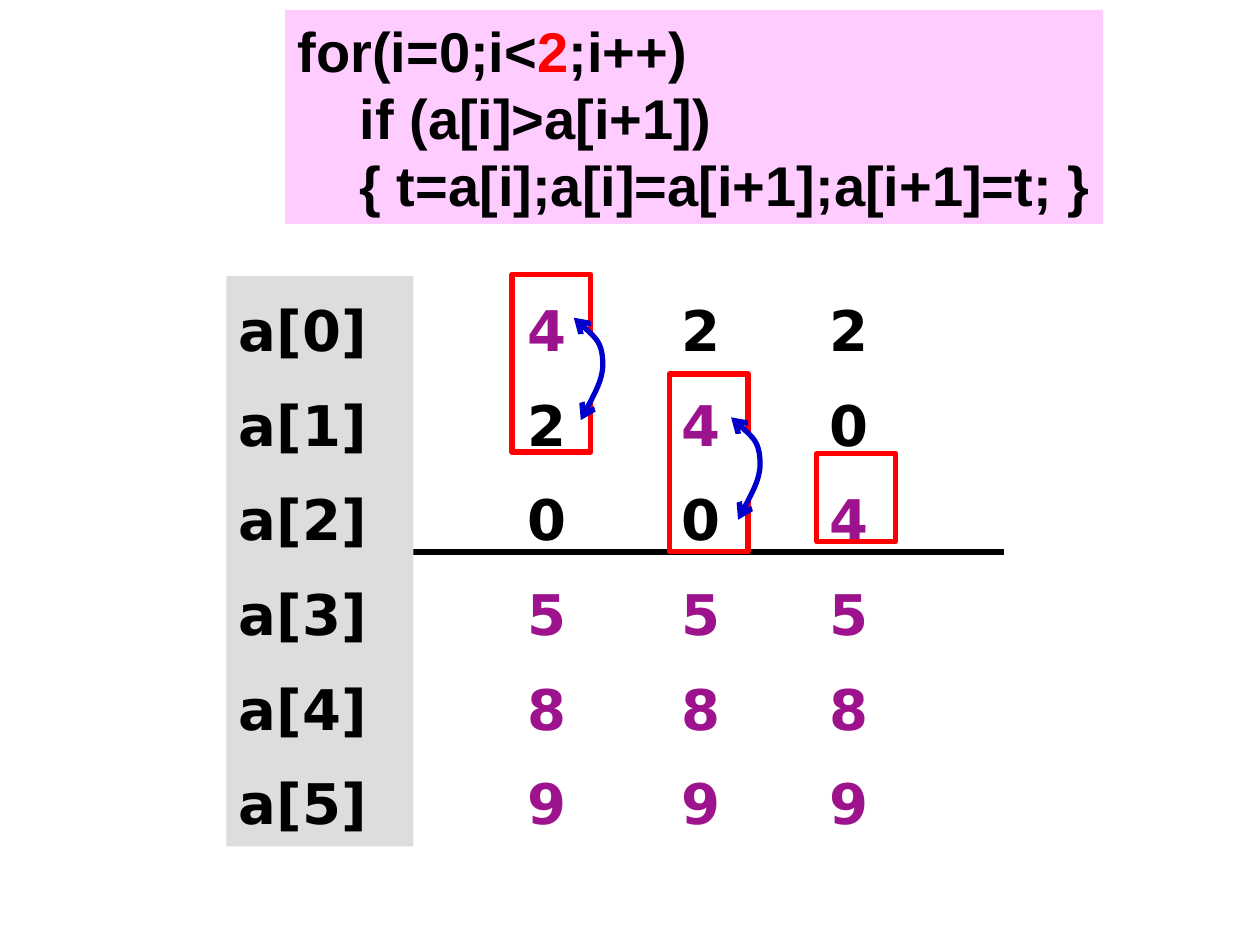
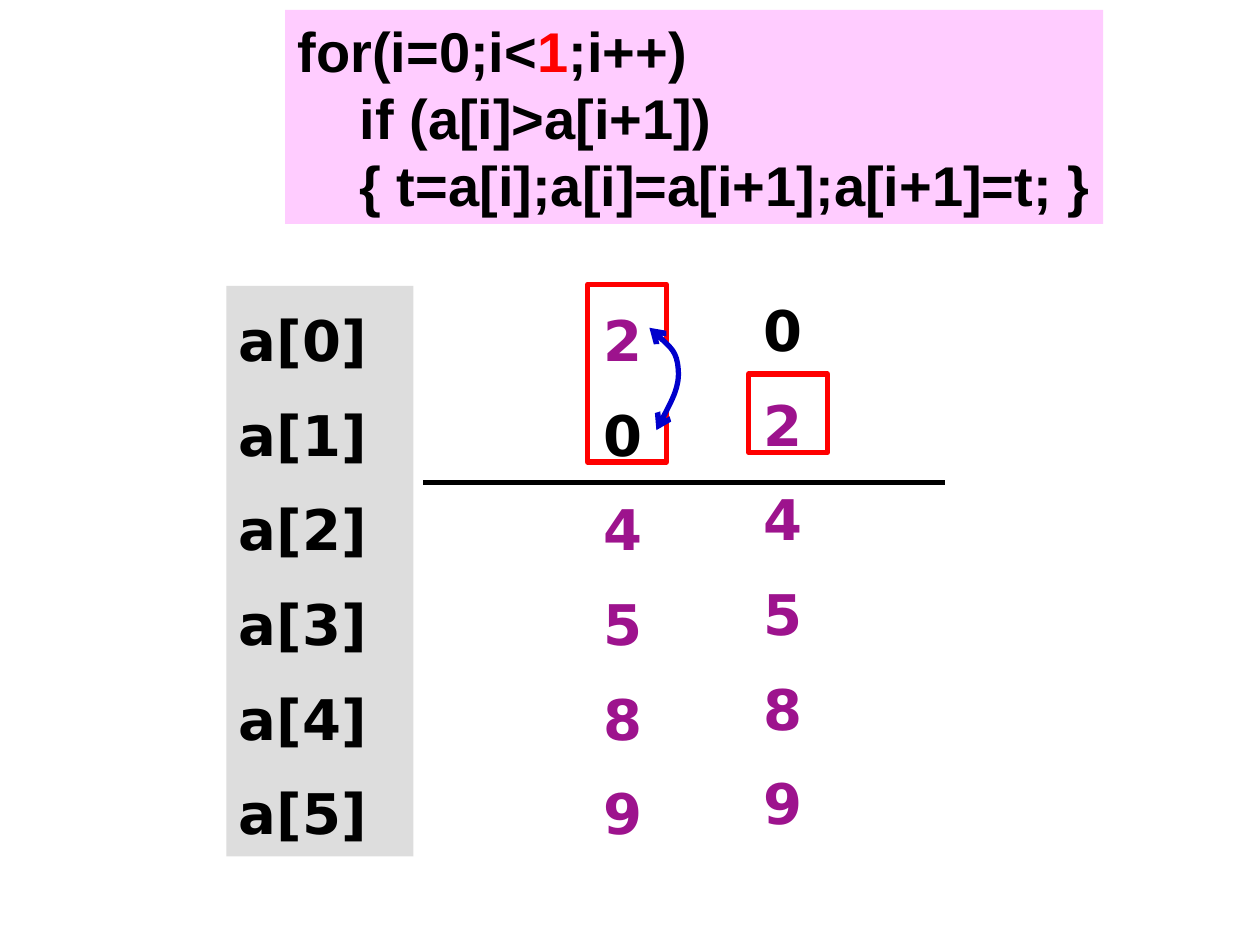
from lxml import etree
from pptx import Presentation
from pptx import util as u
from pptx.dml import color
from pptx.enum import shapes, text
from pptx.oxml import ns

Pt = u.Pt
BLACK, WHITE, RED, BLUE = "000000", "FFFFFF", "FF0000", "0000CC"
PURPLE, GREY, PINK = "9D138D", "DDDDDD", "FFCCFF"
LINE_WIDTH = 3
CODE_FONT = {"name": "Arial", "size": Pt(32), "bold": True}
VALUE_FONT = {"name": "DejaVu Sans", "size": Pt(32), "bold": True}
ROW_FORMAT = {"line_spacing": 1.2, "space_before": Pt(8), "alignment": text.PP_ALIGN.LEFT}
FRAME_FORMAT = {
    "margin_left": Pt(7.2), "margin_right": Pt(7.2),
    "margin_top": Pt(3.6), "margin_bottom": Pt(3.6),
    "vertical_anchor": text.MSO_ANCHOR.TOP, "word_wrap": True,
}

CODE_BOX = (163, 5.7, 467.5, 122.2)
CODE_INDENT = 35.5
LABELS = [f"a[{index}]" for index in range(6)]
LABEL_LEFT, LABEL_WIDTH = 129.4, 106.8
COLUMN_WIDTH, LIST_HEIGHT = 56, 326
FRAME_WIDTH, PAIR_HEIGHT = 45, 101.5
# Start, then two Bezier curves of three points each, relative to the pair frame
SWAP_CURVE = [(39.3, 83.3), (46.1, 70.6), (52.6, 58.3), (51.8, 48.6),
              (51.1, 38.5), (43.2, 31.7), (35.3, 24.8)]

# A frame is (x offset, y offset, height) from its column; "bubble" is the moving value's row
SLIDES = [
    {
        "limit": "2", "settled_from": 3, "label_top": 157.7,
        "divider": (236.2, 573.8, 315.4),
        "columns": [
            {"at": (294.6, 157.7), "values": "420589", "bubble": 0,
             "frame": (-2, -0.9, PAIR_HEIGHT), "swap": True},
            {"at": (382.5, 157.7), "values": "240589", "bubble": 1,
             "frame": (0, 56, PAIR_HEIGHT), "swap": True},
            {"at": (466.8, 157.7), "values": "204589", "bubble": 2,
             "frame": (0, 101.5, 50.4), "swap": False},
        ],
    },
    {
        "limit": "1", "settled_from": 2, "label_top": 163.4,
        "divider": (242, 540, 275.8),
        "columns": [
            {"at": (337.8, 163.4), "values": "204589", "bubble": 0,
             "frame": (-2, -0.9, PAIR_HEIGHT), "swap": True},
            {"at": (429.2, 157.7), "values": "024589", "bubble": 1,
             "frame": (-1.4, 56, 44.8), "swap": False},
        ],
    },
]


def rgb(value):
    return color.RGBColor.from_string(value)


def apply(target, values):
    for name, value in values.items():
        setattr(target, name, value)


def fill_with(shape, value):
    shape.fill.solid()
    shape.fill.fore_color.rgb = rgb(value)


def draw_line(line, value):
    line.color.rgb = rgb(value)
    line.width = Pt(LINE_WIDTH)


def indent(paragraph, left, first=0):
    properties = paragraph._p.get_or_add_pPr()
    properties.set("marL", str(Pt(left)))
    properties.set("indent", str(Pt(first)))


def add_run(paragraph, words, font, value):
    run = paragraph.add_run()
    run.text = words
    apply(run.font, font)
    run.font.color.rgb = rgb(value)


def next_paragraph(frame, index):
    return frame.add_paragraph() if index else frame.paragraphs[0]


def add_panel(slide, box, fill):
    panel = slide.shapes.add_shape(shapes.MSO_SHAPE.RECTANGLE, *map(Pt, box))
    panel.shadow.inherit = False
    panel.line.fill.background()
    fill_with(panel, fill)
    return panel


def fill_rows(shape, words, colours):
    """Write one word per evenly spaced row of a list."""
    frame = shape.text_frame
    apply(frame, FRAME_FORMAT)
    for index, (word, value) in enumerate(zip(words, colours)):
        paragraph = next_paragraph(frame, index)
        apply(paragraph, ROW_FORMAT)
        indent(paragraph, 27, -27)
        add_run(paragraph, word, VALUE_FONT, value)


def add_code(slide, box, limit):
    frame = add_panel(slide, box, PINK).text_frame
    apply(frame, {**FRAME_FORMAT, "word_wrap": False,
                  "auto_size": text.MSO_AUTO_SIZE.SHAPE_TO_FIT_TEXT})
    lines = [
        (0, [("for(i=0;i<", BLACK), (limit, RED), (";i++)", BLACK)]),
        (CODE_INDENT, [("if (a[i]>a[i+1])", BLACK)]),
        (CODE_INDENT, [("{ t=a[i];a[i]=a[i+1];a[i+1]=t; }", BLACK)]),
    ]
    for index, (left, runs) in enumerate(lines):
        paragraph = next_paragraph(frame, index)
        paragraph.alignment = text.PP_ALIGN.LEFT
        indent(paragraph, left)
        for words, value in runs:
            add_run(paragraph, words, CODE_FONT, value)


def add_divider(slide, left, right, top):
    divider = slide.shapes.add_connector(
        shapes.MSO_CONNECTOR.STRAIGHT, Pt(left), Pt(top), Pt(right), Pt(top))
    draw_line(divider.line, BLACK)
    etree.SubElement(divider.element.spPr, ns.qn("a:effectLst"))


def add_swap_arrow(slide, left, top):
    """Draw the double-headed curve beside a pair of values."""
    start, *points = [(Pt(left + x), Pt(top + y)) for x, y in SWAP_CURVE]
    builder = slide.shapes.build_freeform(*start)
    builder.add_line_segments(points, close=False)
    arrow = builder.convert_to_shape()
    arrow.shadow.inherit = False
    fill_with(arrow, WHITE)
    draw_line(arrow.line, BLUE)

    outline = next(arrow.element.iter(ns.qn("a:path")))
    segments = outline.findall(ns.qn("a:lnTo"))
    for first in range(0, len(segments), 3):
        curve = etree.SubElement(outline, ns.qn("a:cubicBezTo"))
        for segment in segments[first:first + 3]:
            curve.append(segment[0])
            outline.remove(segment)
    line = arrow.element.spPr.find(ns.qn("a:ln"))
    for end in ("a:headEnd", "a:tailEnd"):
        etree.SubElement(line, ns.qn(end), type="arrow")


def add_column(slide, column, settled_from):
    left, top = column["at"]
    values = column["values"]
    box = slide.shapes.add_textbox(Pt(left), Pt(top), Pt(COLUMN_WIDTH), Pt(LIST_HEIGHT))
    colours = [PURPLE if row == column["bubble"] or row >= settled_from else BLACK
               for row in range(len(values))]
    fill_rows(box, values, colours)

    offset_x, offset_y, height = column["frame"]
    left, top = left + offset_x, top + offset_y
    frame = slide.shapes.add_shape(
        shapes.MSO_SHAPE.FLOWCHART_PROCESS, Pt(left), Pt(top), Pt(FRAME_WIDTH), Pt(height))
    frame.shadow.inherit = False
    frame.fill.background()
    draw_line(frame.line, RED)
    if column["swap"]:
        add_swap_arrow(slide, left, top)


def add_sort_slide(presentation, content):
    slide = presentation.slides.add_slide(presentation.slide_layouts[6])
    add_divider(slide, *content["divider"])
    for column in content["columns"]:
        add_column(slide, column, content["settled_from"])
    labels = add_panel(
        slide, (LABEL_LEFT, content["label_top"], LABEL_WIDTH, LIST_HEIGHT), GREY)
    fill_rows(labels, LABELS, [BLACK] * len(LABELS))
    add_code(slide, CODE_BOX, content["limit"])


def main():
    presentation = Presentation()
    presentation.slide_width, presentation.slide_height = Pt(720), Pt(540)
    for content in SLIDES:
        add_sort_slide(presentation, content)
    presentation.save("out.pptx")


if __name__ == "__main__":
    main()
